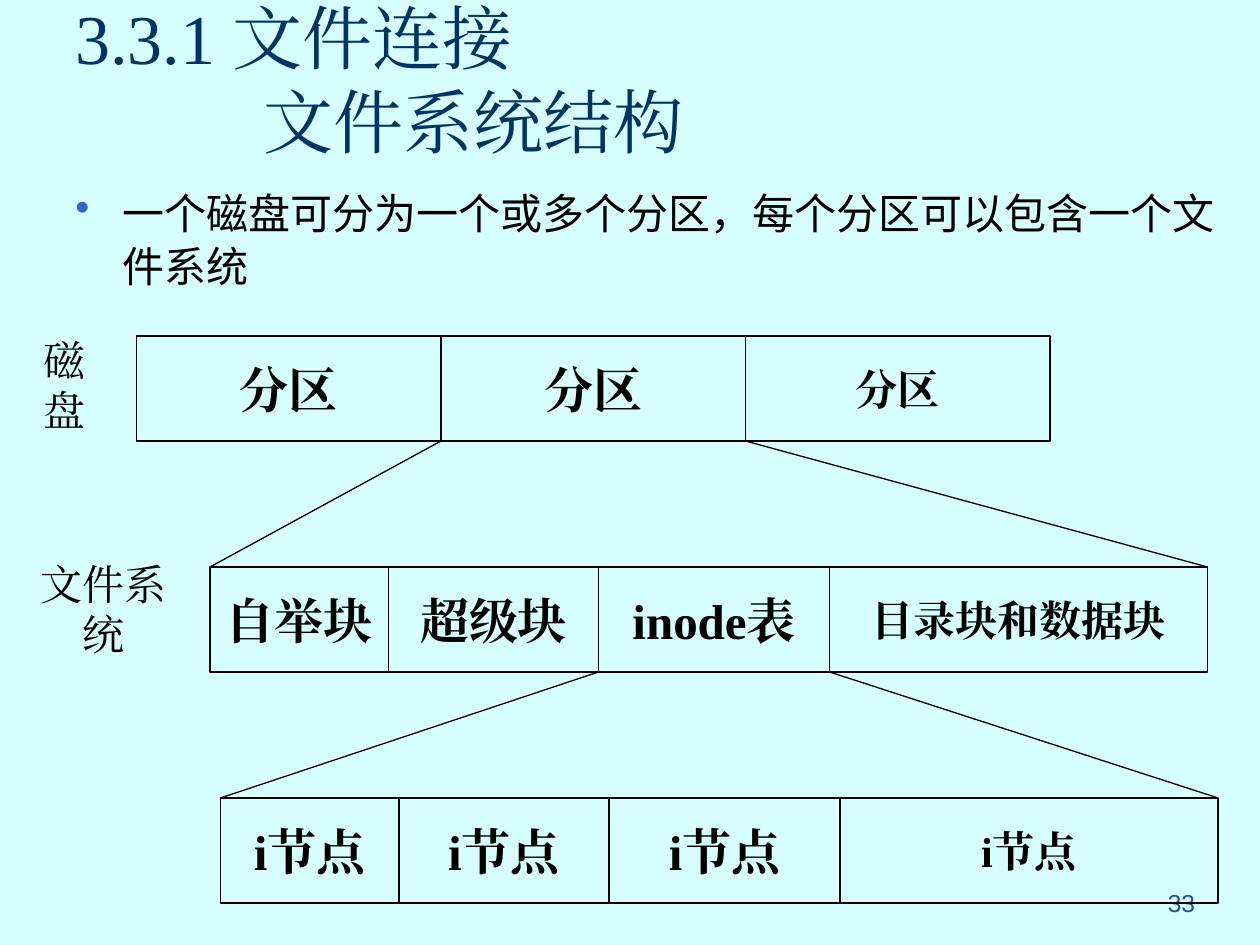
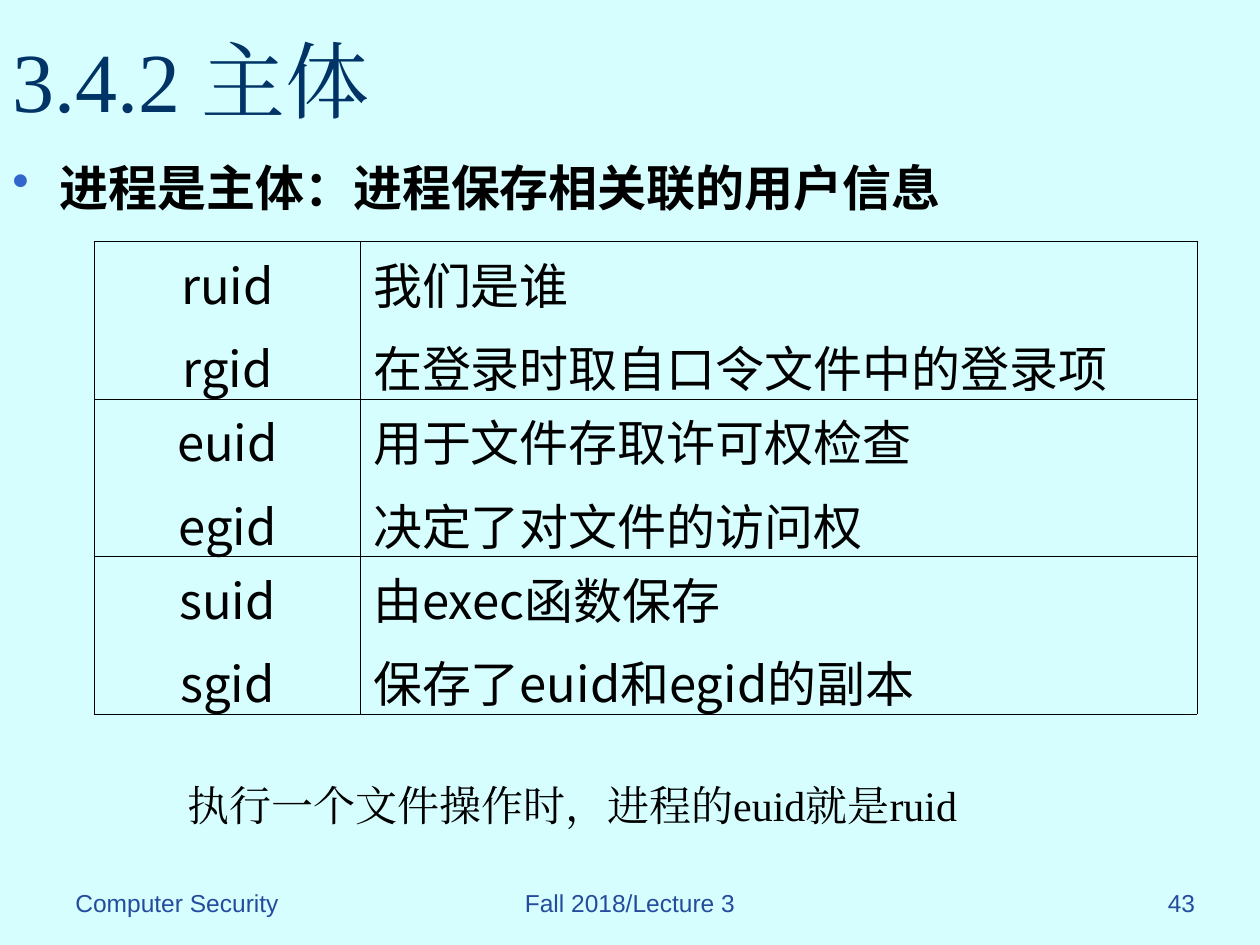
from itertools import accumulate

from lxml import etree
from pptx import Presentation
from pptx.dml.color import RGBColor
from pptx.enum.lang import MSO_LANGUAGE_ID
from pptx.enum.shapes import MSO_CONNECTOR, MSO_SHAPE
from pptx.enum.text import MSO_ANCHOR, PP_ALIGN
from pptx.oxml.ns import qn
from pptx.util import Pt

LEFT, CENTER, RIGHT = PP_ALIGN.LEFT, PP_ALIGN.CENTER, PP_ALIGN.RIGHT
TOP, MIDDLE = MSO_ANCHOR.TOP, MSO_ANCHOR.MIDDLE
RECTANGLE, STRAIGHT = MSO_SHAPE.RECTANGLE, MSO_CONNECTOR.STRAIGHT
CHINESE = MSO_LANGUAGE_ID.SIMPLIFIED_CHINESE

BACKGROUND = RGBColor(0xD6, 0xFE, 0xFE)
NAVY = RGBColor(0x00, 0x33, 0x66)
BLUE = RGBColor(0x33, 0x66, 0xCC)
FOOTER_BLUE = RGBColor(0x25, 0x4C, 0x9C)
BLACK = RGBColor(0x00, 0x00, 0x00)

SERIF, SANS, CJK = "Times New Roman", "Arial", "Noto Sans CJK SC"

STRIP_HEIGHT = 60
BULLET_INDENT = 27


def add_bullet(para):
    """Give a paragraph a blue dot and a hanging indent."""
    props = para._p.get_or_add_pPr()
    props.set("marL", str(Pt(BULLET_INDENT)))
    props.set("indent", str(-Pt(BULLET_INDENT)))
    color = etree.SubElement(props, qn("a:buClr"))
    etree.SubElement(color, qn("a:srgbClr"), val=str(BLUE))
    etree.SubElement(props, qn("a:buChar"), char="•")


def write_text(frame, text, size=24, font=SERIF, color=BLACK, bold=False,
               align=LEFT, anchor=TOP, wrap=True, spacing=None, gap=0,
               bullet=False, last_indent=0):
    """Fill a text frame, one paragraph for each line of the text."""
    frame.word_wrap = wrap
    frame.vertical_anchor = anchor
    lines = text.split("\n")
    for index, line in enumerate(lines):
        para = frame.add_paragraph() if index else frame.paragraphs[0]
        para.alignment = align
        if index:
            para.space_before = Pt(gap)
        if spacing:
            para.line_spacing = spacing
        if bullet:
            add_bullet(para)
        if last_indent and index == len(lines) - 1:
            para._p.get_or_add_pPr().set("marL", str(Pt(last_indent)))
        span = para.add_run()
        span.text = line
        span.font.size = Pt(size)
        span.font.name = font
        span.font.bold = bold
        span.font.color.rgb = color
        span.font.language_id = CHINESE
        props = span.font._element
        etree.SubElement(props, qn("a:ea"), typeface=font)


class Lecture:
    """The lecture style and the page being drawn."""

    def __init__(self):
        self.deck = Presentation()
        self.deck.slide_width, self.deck.slide_height = Pt(720), Pt(540)
        self.page = None

    def add_page(self, number, course="", term=""):
        self.page = self.deck.slides.add_slide(self.deck.slide_layouts[6])
        fill = self.page.background.fill
        fill.solid()
        fill.fore_color.rgb = BACKGROUND
        footers = ((course, 36, 150, LEFT), (term, 246, 228, CENTER),
                   (number, 540, 150, RIGHT))
        for text, left, width, align in footers:
            if text:
                self.text(text, left, 504, width, 36, size=14, font=SANS,
                          color=FOOTER_BLUE, align=align)

    def text(self, text, left, top, width, height, **style):
        box = self.page.shapes.add_textbox(
            Pt(left), Pt(top), Pt(width), Pt(height))
        write_text(box.text_frame, text, **style)

    def title(self, text, left, width, size, last_indent=0):
        self.text(text, left, 0, width, 90, size=size, color=NAVY,
                  anchor=MIDDLE, last_indent=last_indent)

    def bullet(self, text, left, top, width, height, **style):
        self.text(text, left, top, width, height, font=SANS, bullet=True,
                  **style)

    def label(self, text, left, top, width):
        self.text(text, left, top, width, 36, align=CENTER, anchor=MIDDLE,
                  wrap=False)

    def strip(self, names, left, top, widths):
        """Draw a row of joined blocks and return the edges between them."""
        edges = list(accumulate(widths, initial=left))
        for name, start, width in zip(names, edges, widths):
            block = self.page.shapes.add_shape(
                RECTANGLE, Pt(start), Pt(top), Pt(width), Pt(STRIP_HEIGHT))
            block.shadow.inherit = False
            block.fill.background()
            block.line.color.rgb = BLACK
            block.line.width = Pt(0.75)
            size = 24 if start == edges[-2] else 28
            write_text(block.text_frame, name, size=size, bold=True,
                       align=CENTER, anchor=MIDDLE, wrap=False)
        return edges

    def line(self, start_x, start_y, end_x, end_y):
        line = self.page.shapes.add_connector(
            STRAIGHT, Pt(start_x), Pt(start_y), Pt(end_x), Pt(end_y))
        line.line.color.rgb = BLACK
        line.line.width = Pt(0.75)
        etree.SubElement(line._element.spPr, qn("a:effectLst"))

    def expand(self, block, upper_top, strip, lower_top):
        """Link the two lower corners of a block to the strip below it."""
        for upper_x, lower_x in zip(block, (strip[0], strip[-1])):
            self.line(upper_x, upper_top + STRIP_HEIGHT, lower_x, lower_top)

    def table(self, rows, left, top, widths, row_height):
        table = self.page.shapes.add_table(
            len(rows), len(widths), Pt(left), Pt(top), Pt(sum(widths)),
            Pt(row_height * len(rows))).table
        table.first_row = table.horz_banding = False
        for column, width in zip(table.columns, widths):
            column.width = Pt(width)
        for row, texts in enumerate(rows):
            table.rows[row].height = Pt(row_height)
            for column, text in enumerate(texts):
                self.cell(table.cell(row, column), text, column == 0)

    def cell(self, cell, text, is_key):
        cell.margin_left = cell.margin_right = Pt(7.2)
        cell.margin_top = cell.margin_bottom = Pt(3.6)
        write_text(cell.text_frame, text, size=28, font=CJK, gap=7,
                   align=CENTER if is_key else LEFT)
        cell.vertical_anchor = MIDDLE if is_key else TOP
        props = cell._tc.get_or_add_tcPr()
        for side in ("a:lnL", "a:lnR", "a:lnT", "a:lnB"):
            border = etree.SubElement(props, qn(side), w=str(Pt(0.23)))
            fill = etree.SubElement(border, qn("a:solidFill"))
            etree.SubElement(fill, qn("a:srgbClr"), val=str(BLACK))
        cell.fill.background()


def draw_file_system(lecture):
    lecture.add_page("33")
    lecture.title("3.3.1 文件连接\n文件系统结构", 36, 648, 40, last_indent=107.5)
    lecture.bullet("一个磁盘可分为一个或多个分区，每个分区可以包含一个文件系统",
                   36, 102, 678, 132, spacing=1.05)

    # Disk, file system and inode table, each opening into the next
    disk_top, system_top, inode_top = 192, 324, 456
    system_widths = (102, 120, 132, 216)
    disk = lecture.strip(["分区"] * 3, 78, disk_top, [174] * 3)
    system = lecture.strip(["自举块", "超级块", "inode表", "目录块和数据块"],
                           120, system_top, system_widths)
    inodes = lecture.strip(["i节点"] * 4, 126, inode_top, system_widths)
    lecture.expand(disk[1:3], disk_top, system, system_top)
    lecture.expand(system[2:4], system_top, inodes, inode_top)
    lecture.label("磁盘", 6, 202, 62)
    lecture.label("文件系统", 4, 330, 110)


def draw_subjects(lecture):
    lecture.add_page("43", "Computer Security", "Fall 2018/Lecture 3")
    lecture.title("3.4.2 主体", 0, 720, 48)
    lecture.bullet("进程是主体：进程保存相关联的用户信息", 0, 90, 720, 48,
                   size=28, bold=True, spacing=0.9)

    # User and group identifiers of a process
    identifiers = [
        ("ruid\nrgid", "我们是谁\n在登录时取自口令文件中的登录项"),
        ("euid\negid", "用于文件存取许可权检查\n决定了对文件的访问权"),
        ("suid\nsgid", "由exec函数保存\n保存了euid和egid的副本"),
    ]
    lecture.table(identifiers, 54, 138, (152, 478), 90)
    lecture.text("执行一个文件操作时，进程的euid就是ruid", 36, 445, 582, 59,
                 align=CENTER, spacing=0.9)


def main():
    lecture = Lecture()
    draw_file_system(lecture)
    draw_subjects(lecture)
    lecture.deck.save("out.pptx")


if __name__ == "__main__":
    main()
